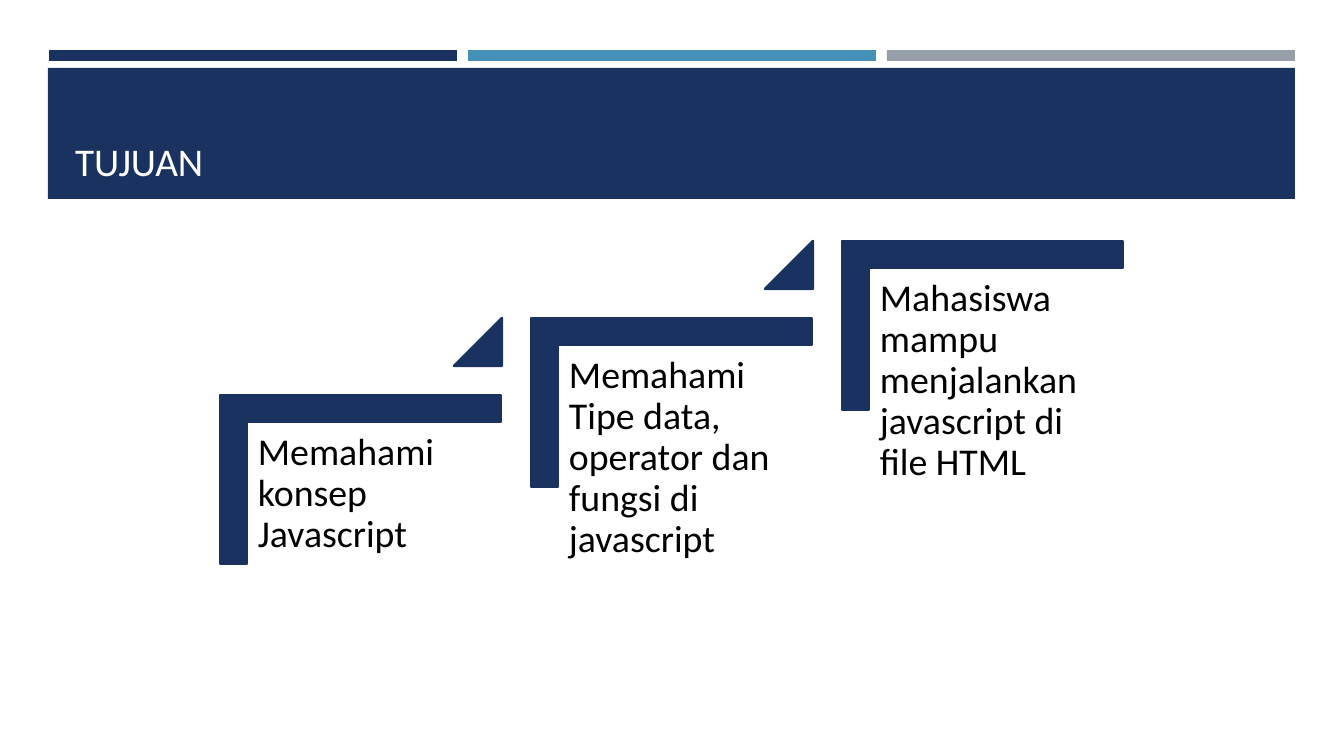
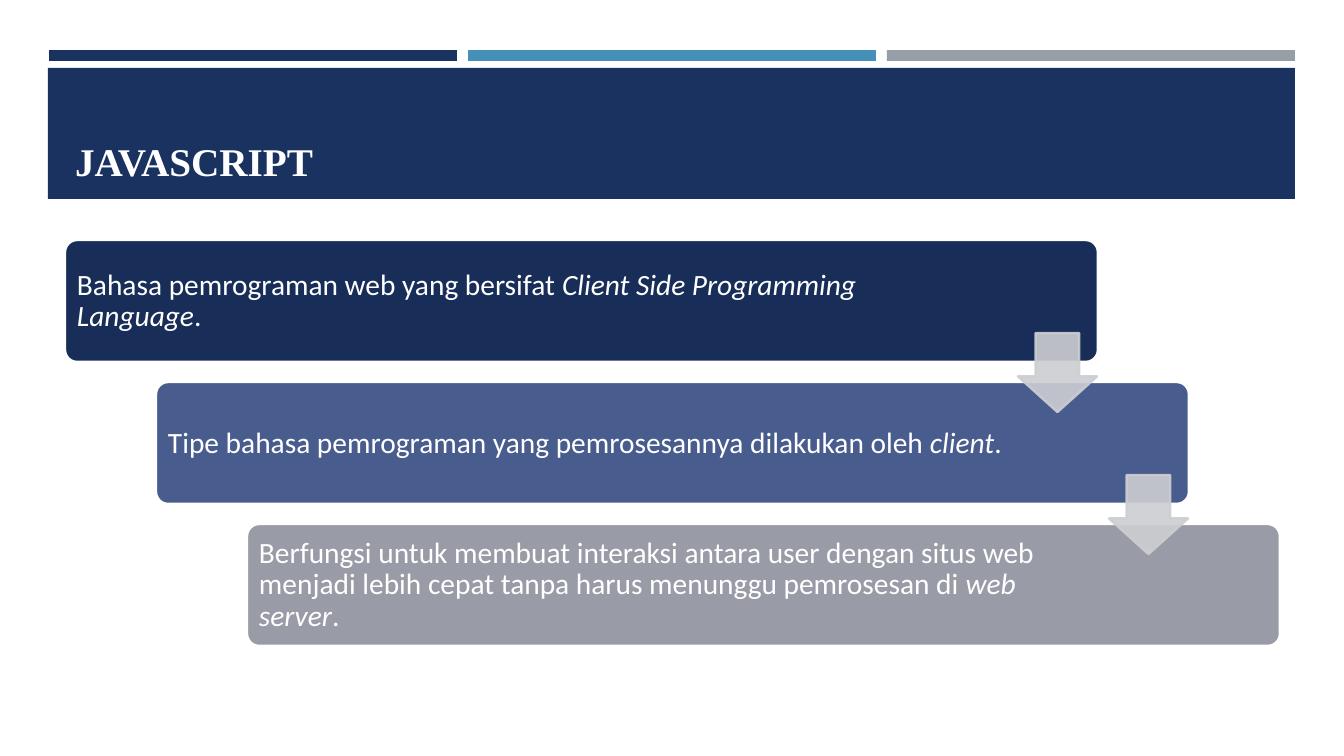
import dataclasses

import lxml.etree
import pptx
import pptx.dml.color
import pptx.enum.shapes
import pptx.enum.text
import pptx.oxml.ns
import pptx.util

GOALS = [
    "Memahami konsep Javascript",
    "Memahami Tipe data, operator dan fungsi di javascript",
    "Mahasiswa mampu menjalankan javascript di file HTML",
]
FACTS = [
    ("Bahasa pemrograman web yang bersifat ", "Client Side Programming Language"),
    ("Tipe bahasa pemrograman yang pemrosesannya dilakukan oleh ", "client"),
    (
        "Berfungsi untuk membuat interaksi antara user dengan situs web menjadi "
        "lebih cepat tanpa harus menunggu pemrosesan di ",
        "web server",
    ),
]


@dataclasses.dataclass(frozen=True)
class Theme:
    navy: str = "1A3260"
    blue: str = "4590B8"
    gray: str = "969FA7"
    white: str = "FFFFFF"
    black: str = "000000"
    arrow: str = "CDCED2"
    cards: tuple = ("182D57", "495C8E", "999CA6")
    font: str = "Calibri"
    serif: str = "Times New Roman"
    title_size: int = 28
    goal_size: int = 27
    fact_size: int = 21
    outline: float = 1.75


THEME = Theme()
KINDS = pptx.enum.shapes.MSO_SHAPE
ANCHOR = pptx.enum.text.MSO_ANCHOR
EMU_PER_PIXEL = 914400 / 100.8


def emu(pixels):
    return pptx.util.Emu(round(pixels * EMU_PER_PIXEL))


def place(shape, box):
    shape.left, shape.top, shape.width, shape.height = map(emu, box)


def color(value):
    return pptx.dml.color.RGBColor.from_string(value)


def add_shape(slide, kind, box, fill, line=None, adjustments=(), rotation=0):
    shape = slide.shapes.add_shape(kind, *map(emu, box))
    shape.shadow.inherit = False
    shape.rotation = rotation
    for index, value in enumerate(adjustments):
        shape.adjustments[index] = value
    shape.fill.solid()
    shape.fill.fore_color.rgb = color(fill)
    if line:
        shape.line.color.rgb = color(line)
        shape.line.width = pptx.util.Pt(THEME.outline)
    else:
        shape.line.fill.background()
    return shape


def set_opacity(shape, percent):
    tag = pptx.oxml.ns.qn("a:srgbClr")
    properties = shape.element.find(pptx.oxml.ns.qn("p:spPr"))
    for node in properties.iter(tag):
        alpha = lxml.etree.SubElement(node, pptx.oxml.ns.qn("a:alpha"))
        alpha.set("val", str(percent * 1000))


def write(shape, runs, size, ink, font=THEME.font, bold=False, anchor=ANCHOR.TOP, inset=None):
    frame = shape.text_frame
    frame.word_wrap = True
    frame.auto_size = pptx.enum.text.MSO_AUTO_SIZE.NONE
    frame.vertical_anchor = anchor
    if inset is not None:
        frame.margin_left = frame.margin_right = emu(inset)
        frame.margin_top = frame.margin_bottom = emu(inset)
    paragraph = frame.paragraphs[0]
    paragraph.alignment = pptx.enum.text.PP_ALIGN.LEFT
    paragraph.line_spacing = 0.9
    for text, italic in runs:
        run = paragraph.add_run()
        run.text = text
        run.font.name = font
        run.font.size = pptx.util.Pt(size)
        run.font.color.rgb = color(ink)
        run.font.bold = bold
        run.font.italic = italic


def add_text(slide, box, runs, **style):
    write(slide.shapes.add_textbox(*map(emu, box)), runs, **style)


def add_title_slide(presentation, layout, title, **style):
    slide = presentation.slides.add_slide(layout)
    place(slide.shapes.title, (65, 78, 1216, 112))
    write(slide.shapes.title, [(title, False)], size=THEME.title_size,
          ink=THEME.white, anchor=ANCHOR.BOTTOM, **style)
    return slide


def move_bands_to_layout(slide, layout):
    bands = [
        add_shape(slide, KINDS.RECTANGLE, (49 + 419 * index, 50, 408, 11), fill)
        for index, fill in enumerate((THEME.navy, THEME.blue, THEME.gray))
    ]
    bands.append(add_shape(slide, KINDS.RECTANGLE, (48, 68, 1247, 131), THEME.navy))
    for position, band in enumerate(bands, start=2):
        layout.shapes.element.insert(position, band.element)


def draw_goals(slide):
    for index, goal in enumerate(GOALS):
        x, y = 311 * index, -77 * index
        add_shape(slide, KINDS.CORNER, (276 + x, 339 + y, 169, 281), THEME.navy,
                  line=THEME.navy, adjustments=(0.16, 0.16), rotation=90)
        add_text(slide, (247 + x, 422 + y, 254, 223), [(goal, False)],
                 size=THEME.goal_size, ink=THEME.black, inset=11)
        if index < len(GOALS) - 1:
            add_shape(slide, KINDS.ISOSCELES_TRIANGLE, (454 + x, 318 + y, 48, 48),
                      THEME.navy, line=THEME.navy, adjustments=(1,))


def draw_facts(slide):
    step_x, step_y = 91, 142
    for index, ((lead, term), fill) in enumerate(zip(FACTS, THEME.cards)):
        x, y = 65 + step_x * index, 240 + step_y * index
        add_shape(slide, KINDS.ROUNDED_RECTANGLE, (x, y, 1033, 122), fill,
                  line=THEME.white, adjustments=(0.1,))
        width = 856 if index else 902
        add_text(slide, (x + 3, y + 4, width, 115),
                 [(lead, False), (term, True), (".", False)],
                 size=THEME.fact_size, ink=THEME.white, anchor=ANCHOR.MIDDLE, inset=9)
    for index in range(len(FACTS) - 1):
        arrow = add_shape(slide, KINDS.DOWN_ARROW,
                          (1018 + step_x * index, 333 + step_y * index, 79, 79),
                          THEME.arrow, line=THEME.arrow, adjustments=(0.45, 0.45))
        arrow.adjustments[0] = 0.55
        set_opacity(arrow, 90)


presentation = pptx.Presentation()
presentation.slide_width = emu(1344)
presentation.slide_height = emu(756)
layout = presentation.slide_layouts.get_by_name("Title Only")

goals_slide = add_title_slide(presentation, layout, "TUJUAN")
move_bands_to_layout(goals_slide, layout)
draw_goals(goals_slide)

facts_slide = add_title_slide(presentation, layout, "JAVASCRIPT", font=THEME.serif, bold=True)
draw_facts(facts_slide)

presentation.save("out.pptx")
